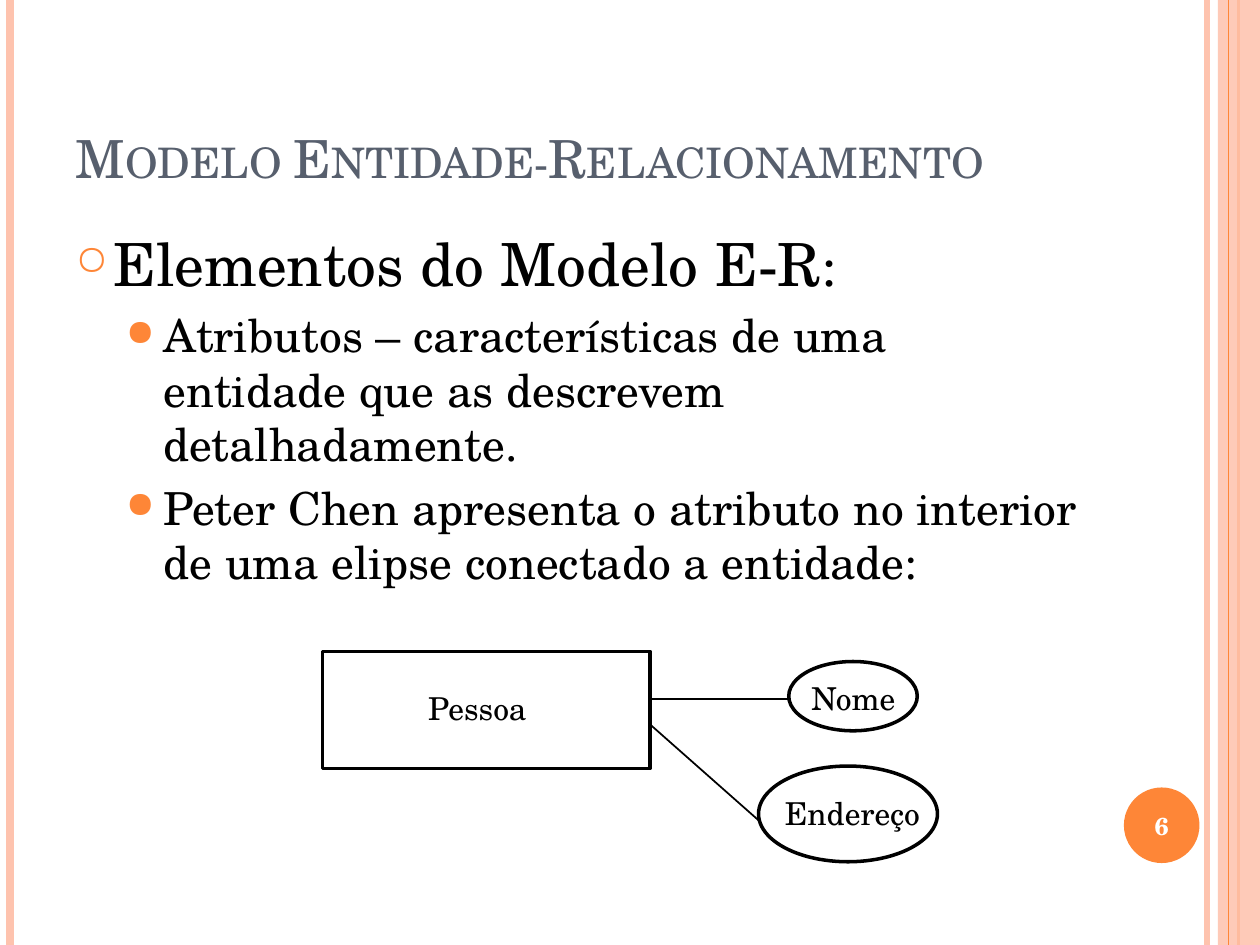
import dataclasses

import lxml.etree
import pptx
import pptx.dml.color
import pptx.enum.shapes
import pptx.enum.text
import pptx.oxml.ns
import pptx.util

Pt = pptx.util.Pt
qn = pptx.oxml.ns.qn
MSO_SHAPE = pptx.enum.shapes.MSO_SHAPE
ANCHOR = pptx.enum.text.MSO_ANCHOR
ALIGN = pptx.enum.text.PP_ALIGN
AUTO_SIZE = pptx.enum.text.MSO_AUTO_SIZE
rgb = pptx.dml.color.RGBColor.from_string


@dataclasses.dataclass(frozen=True)
class Theme:
    font: str = "TeX Gyre Schola"
    ink: str = "000000"
    title: str = "575F6D"
    accent: str = "FE8637"
    pale: str = "FEC3AE"
    white: str = "FFFFFF"
    title_size: int = 30
    heading_size: int = 34
    colon_size: int = 31
    point_size: int = 26
    label_size: int = 18
    number_size: int = 14


theme = Theme()


def write(paragraph, text, size, color=theme.ink, bold=False, align=ALIGN.LEFT):
    paragraph.alignment = align
    run = paragraph.add_run()
    run.text = text
    run.font.name = theme.font
    run.font.size = Pt(size)
    run.font.bold = bold
    run.font.color.rgb = rgb(color)
    return run


def draw_line(x1, y1, x2, y2, color, width):
    line = slide.shapes.add_connector(
        pptx.enum.shapes.MSO_CONNECTOR.STRAIGHT, Pt(x1), Pt(y1), Pt(x2), Pt(y2))
    line.line.color.rgb = rgb(color)
    line.line.width = Pt(width)
    lxml.etree.SubElement(line._element.spPr, qn("a:effectLst"))


deck = pptx.Presentation()
deck.slide_width, deck.slide_height = Pt(720), Pt(540)
slide = deck.slides.add_slide(deck.slide_layouts[5])

# Side stripes: the band lies over all lines but the last
for x, color, width in [(689.76, theme.pale, 3), (5.76, theme.pale, 4.5),
                        (707.76, theme.accent, 1.5)]:
    draw_line(x, 0, x, 540, color, width)

band = slide.shapes.add_shape(MSO_SHAPE.RECTANGLE, Pt(696), 0, Pt(24), Pt(540))
band.shadow.inherit = False
band.fill.solid()
band.fill.fore_color.rgb = rgb(theme.pale)
band.line.fill.background()
band_color = band._element.spPr.find(qn("a:solidFill"))[0]
lxml.etree.SubElement(band_color, qn("a:alpha"), val="87000")

draw_line(702, 0, 702, 540, theme.accent, 0.75)

# Page number
page_number = slide.shapes.add_shape(
    MSO_SHAPE.OVAL, Pt(642.24), Pt(450), Pt(43.2), Pt(43.2))
page_number.shadow.inherit = False
page_number.fill.solid()
page_number.fill.fore_color.rgb = rgb(theme.accent)
page_number.line.fill.background()
page_number.text_frame.vertical_anchor = ANCHOR.MIDDLE
write(page_number.text_frame.paragraphs[0], "6", size=theme.number_size,
      color=theme.white, bold=True, align=ALIGN.CENTER)

# Title
title = slide.shapes.title
title.left, title.top, title.width, title.height = Pt(36), Pt(21.6), Pt(588), Pt(90)
title.text_frame.auto_size = AUTO_SIZE.NONE
title.text_frame.vertical_anchor = ANCHOR.BOTTOM
heading = write(title.text_frame.paragraphs[0], "Modelo Entidade-Relacionamento",
                size=theme.title_size, color=theme.title)
heading.font._element.set("cap", "small")

# Bulleted text: bullet, bullet size in percent, left indent, space before, runs
elements = slide.shapes.add_textbox(Pt(36), Pt(126), Pt(588), Pt(342.72)).text_frame
elements.word_wrap = True
points = [
    ("○", 70, 21.6, 6, [("Elementos do Modelo E-R", theme.heading_size),
                        (":", theme.colon_size)]),
    ("●", 80, 50.4, 5.2, [("Atributos – características de uma entidade que as "
                           "descrevem detalhadamente.", theme.point_size)]),
    ("●", 80, 50.4, 5.2, [("Peter Chen apresenta o atributo no interior de uma "
                           "elipse conectado a entidade:", theme.point_size)]),
]
for index, (bullet, percent, indent, before, runs) in enumerate(points):
    point = elements.add_paragraph() if index else elements.paragraphs[0]
    point.level = min(index, 1)
    point.space_before = Pt(before)
    for text, size in runs:
        write(point, text, size=size)
    properties = point._p.get_or_add_pPr()
    properties.set("marL", str(Pt(indent)))
    properties.set("indent", str(Pt(-21.6)))
    bullet_color = lxml.etree.SubElement(properties, qn("a:buClr"))
    lxml.etree.SubElement(bullet_color, qn("a:srgbClr"), val=theme.accent)
    lxml.etree.SubElement(properties, qn("a:buSzPct"), val=str(percent * 1000))
    lxml.etree.SubElement(properties, qn("a:buChar"), char=bullet)

# Entity and its attributes: outline box, then label box
nodes = [
    ("Pessoa", MSO_SHAPE.RECTANGLE, (184.32, 372.24, 187.2, 66.96),
     (237.6, 390.24, 72, 31.68)),
    ("Nome", MSO_SHAPE.OVAL, (450.72, 378, 73.44, 39.6),
     (456.48, 384.48, 63.36, 31.68)),
    ("Endereço", MSO_SHAPE.OVAL, (433.44, 437.76, 102.24, 54.72),
     (441.36, 450, 92.88, 28.8)),
]
for name, kind, outline_box, label_box in nodes:
    outline = slide.shapes.add_shape(kind, *map(Pt, outline_box))
    outline.shadow.inherit = False
    outline.fill.background()
    outline.line.color.rgb = rgb(theme.ink)
    outline.line.width = Pt(2)
    label = slide.shapes.add_textbox(*map(Pt, label_box)).text_frame
    label.word_wrap = False
    label.auto_size = AUTO_SIZE.SHAPE_TO_FIT_TEXT
    write(label.paragraphs[0], name, size=theme.label_size)

# Links from the entity to its attributes
draw_line(371.52, 399.6, 450.72, 399.6, theme.ink, 1)
draw_line(433.44, 468.72, 371.52, 414, theme.ink, 1)

deck.save("out.pptx")
